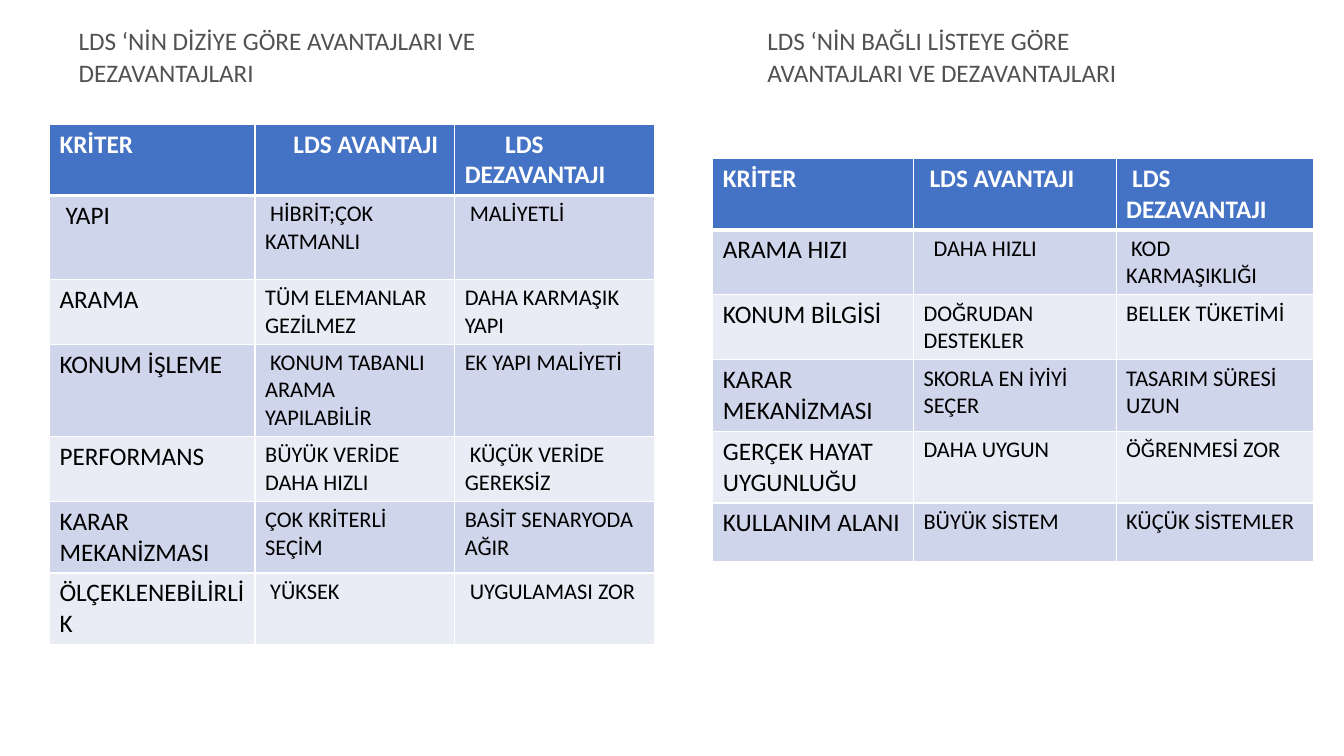
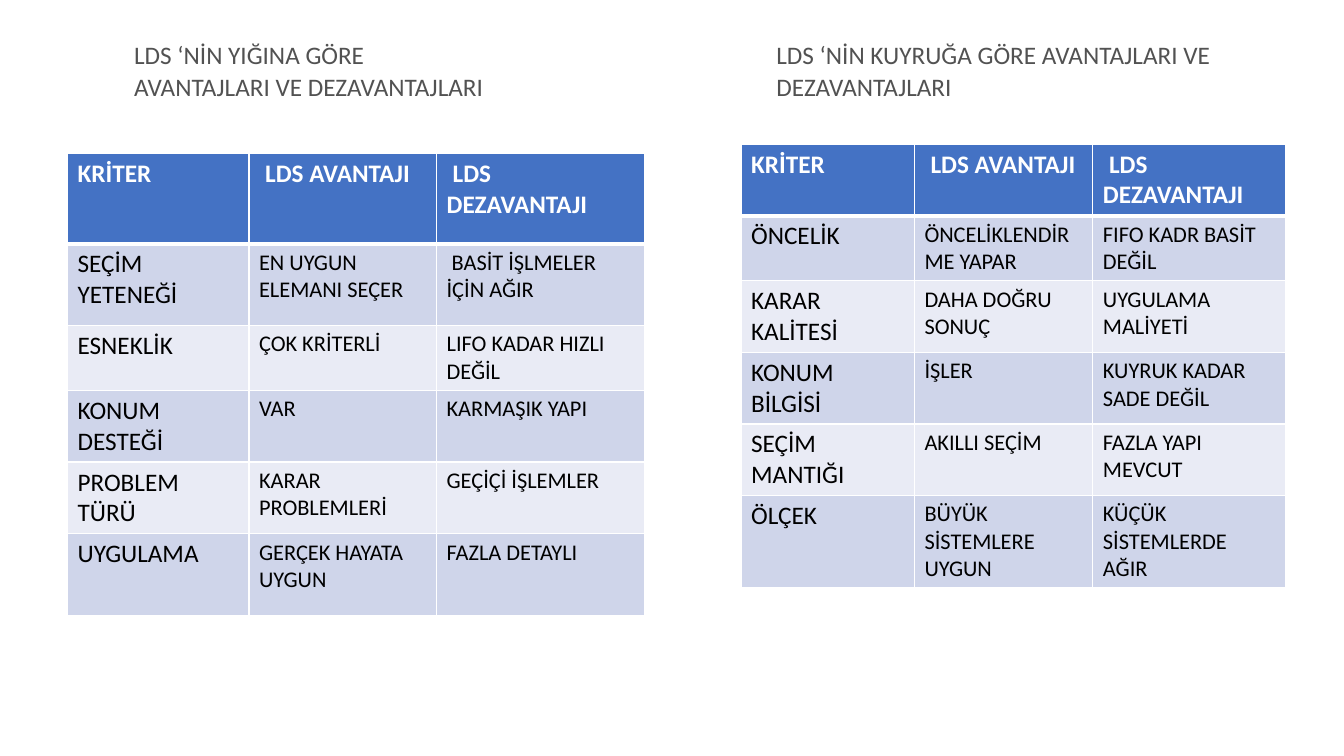
from lxml import etree
from pptx import Presentation
from pptx import util as u
from pptx.dml.color import RGBColor
from pptx.enum import text
from pptx.oxml import ns

FONT = "Calibri"
COLORS = {"title": "525252", "header": "4472C4", "odd": "CFD5EA",
          "even": "E9EBF5", "line": "FFFFFF", "body": "000000"}
HEADER = ("KRİTER", "LDS AVANTAJI", "LDS DEZAVANTAJI")
HEADER_INDENTS = {(0, 1): 0.06, (0, 2): 0.06}
TITLE_HEIGHT = 0.73

SLIDES = [
    [
        {
            "title": "LDS ‘NİN DİZİYE GÖRE AVANTAJLARI VE DEZAVANTAJLARI",
            "title_at": (0.68, 0.18, 5.82),
            "table_at": (0.49, 1.23),
            "columns": (2.04, 1.98, 1.98),
            "heights": (0.48, 0.83, 0.48, 0.58, 0.58, 0.58, 0.48),
            "indents": {(0, 1): 0.28, (0, 2): 0.4, (1, 0): 0.06,
                        (1, 1): 0.05, (1, 2): 0.05, (3, 1): 0.05,
                        (4, 2): 0.05, (6, 1): 0.05, (6, 2): 0.05},
            "rows": [
                ("YAPI", "HİBRİT;ÇOK KATMANLI", "MALİYETLİ"),
                ("ARAMA", "TÜM ELEMANLAR GEZİLMEZ", "DAHA KARMAŞIK YAPI"),
                ("KONUM İŞLEME", "KONUM TABANLI ARAMA YAPILABİLİR", "EK YAPI MALİYETİ"),
                ("PERFORMANS", "BÜYÜK VERİDE DAHA HIZLI", "KÜÇÜK VERİDE GEREKSİZ"),
                ("KARAR MEKANİZMASI", "ÇOK KRİTERLİ SEÇİM", "BASİT SENARYODA AĞIR"),
                ("ÖLÇEKLENEBİLİRLİK", "YÜKSEK", "UYGULAMASI ZOR"),
            ],
        },
        {
            "title": "LDS ‘NİN BAĞLI LİSTEYE GÖRE AVANTAJLARI VE DEZAVANTAJLARI",
            "title_at": (7.51, 0.18, 4.51),
            "table_at": (7.07, 1.57),
            "columns": (1.99, 2.01, 1.96),
            "heights": (0.58,) * 6,
            "indents": {(1, 1): 0.1, (1, 2): 0.05},
            "rows": [
                ("ARAMA HIZI", "DAHA HIZLI", "KOD KARMAŞIKLIĞI"),
                ("KONUM BİLGİSİ", "DOĞRUDAN DESTEKLER", "BELLEK TÜKETİMİ"),
                ("KARAR MEKANİZMASI", "SKORLA EN İYİYİ SEÇER", "TASARIM SÜRESİ UZUN"),
                ("GERÇEK HAYAT UYGUNLUĞU", "DAHA UYGUN", "ÖĞRENMESİ ZOR"),
                ("KULLANIM ALANI", "BÜYÜK SİSTEM", "KÜÇÜK SİSTEMLER"),
            ],
        },
    ],
    [
        {
            "title": "LDS ‘NİN YIĞINA GÖRE AVANTAJLARI VE DEZAVANTAJLARI",
            "title_at": (1.23, 0.32, 3.68),
            "table_at": (0.67, 1.52),
            "columns": (1.8, 1.86, 2.06),
            "heights": (0.9, 0.81, 0.57, 0.63, 0.63, 0.81),
            "indents": {(1, 2): 0.05},
            "rows": [
                ("SEÇİM YETENEĞİ", "EN UYGUN ELEMANI SEÇER", "BASİT İŞLMELER İÇİN AĞIR"),
                ("ESNEKLİK", "ÇOK KRİTERLİ", "LIFO KADAR HIZLI DEĞİL"),
                ("KONUM DESTEĞİ", "VAR", "KARMAŞIK YAPI"),
                ("PROBLEM TÜRÜ", "KARAR PROBLEMLERİ", "GEÇİÇİ İŞLEMLER"),
                ("UYGULAMA", "GERÇEK HAYATA UYGUN", "FAZLA DETAYLI"),
            ],
        },
        {
            "title": "LDS ‘NİN KUYRUĞA GÖRE AVANTAJLARI VE DEZAVANTAJLARI",
            "title_at": (7.6, 0.32, 4.8),
            "table_at": (7.35, 1.43),
            "columns": (1.72, 1.77, 1.91),
            "heights": (0.6,) * 6,
            "indents": {},
            "rows": [
                ("ÖNCELİK", "ÖNCELİKLENDİRME YAPAR", "FIFO KADR BASİT DEĞİL"),
                ("KARAR KALİTESİ", "DAHA DOĞRU SONUÇ", "UYGULAMA MALİYETİ"),
                ("KONUM BİLGİSİ", "İŞLER", "KUYRUK KADAR SADE DEĞİL"),
                ("SEÇİM MANTIĞI", "AKILLI SEÇİM", "FAZLA YAPI MEVCUT"),
                ("ÖLÇEK", "BÜYÜK SİSTEMLERE UYGUN", "KÜÇÜK SİSTEMLERDE AĞIR"),
            ],
        },
    ],
]


def color(name):
    return RGBColor.from_string(COLORS[name])


def add_span(para, words, size, tone, bold=False):
    span = para.add_run()
    span.text = words
    span.font.name = FONT
    span.font.size = u.Pt(size)
    span.font.bold = bold
    span.font.color.rgb = color(tone)


def fill_title(box, words, place):
    box.left, box.top, box.width = map(u.Inches, place)
    box.height = u.Inches(TITLE_HEIGHT)
    frame = box.text_frame
    frame.word_wrap = True
    frame.auto_size = text.MSO_AUTO_SIZE.NONE
    frame.vertical_anchor = text.MSO_ANCHOR.TOP
    para = frame.paragraphs[0]
    para.alignment = text.PP_ALIGN.LEFT
    para.line_spacing = 1.07
    para.space_before = u.Pt(0)
    para.space_after = u.Pt(8)
    add_span(para, words, 18, "title")


def set_borders(cell, row):
    properties = cell._tc.get_or_add_tcPr()
    widths = {"lnL": 1, "lnR": 1, "lnT": 3 if row == 1 else 1,
              "lnB": 3 if row == 0 else 1}
    for side, width in widths.items():
        line = etree.SubElement(properties, ns.qn(f"a:{side}"), w=str(u.Pt(width)))
        solid = etree.SubElement(line, ns.qn("a:solidFill"))
        etree.SubElement(solid, ns.qn("a:srgbClr"), val=COLORS["line"])


def fill_cell(cell, words, row, column, indent):
    set_borders(cell, row)
    band = "header" if row == 0 else "odd" if row % 2 else "even"
    cell.fill.solid()
    cell.fill.fore_color.rgb = color(band)
    para = cell.text_frame.paragraphs[0]
    if indent:
        para._p.get_or_add_pPr().set("indent", str(u.Inches(indent)))
    size = 18 if row == 0 or column == 0 else 16
    add_span(para, words, size, "line" if row == 0 else "body", row == 0)


def add_comparison(page, part):
    rows = [HEADER] + part["rows"]
    left, top = part["table_at"]
    bounds = (left, top, sum(part["columns"]), sum(part["heights"]))
    table = page.shapes.add_table(len(rows), len(HEADER), *map(u.Inches, bounds)).table
    for column, width in zip(table.columns, part["columns"]):
        column.width = u.Inches(width)
    for row, height in zip(table.rows, part["heights"]):
        row.height = u.Inches(height)
    indents = {**HEADER_INDENTS, **part["indents"]}
    for r, row in enumerate(rows):
        for c, words in enumerate(row):
            fill_cell(table.cell(r, c), words, r, c, indents.get((r, c), 0))


def main():
    deck = Presentation()
    deck.slide_width, deck.slide_height = u.Inches(13.33), u.Inches(7.5)
    comparison_layout = deck.slide_layouts[4]
    for parts in SLIDES:
        page = deck.slides.add_slide(comparison_layout)
        boxes = list(page.placeholders)
        for box, part in zip(boxes, parts):
            fill_title(box, part["title"], part["title_at"])
            add_comparison(page, part)
        for box in boxes[len(parts):]:
            box.element.getparent().remove(box.element)
    deck.save("out.pptx")


if __name__ == "__main__":
    main()
